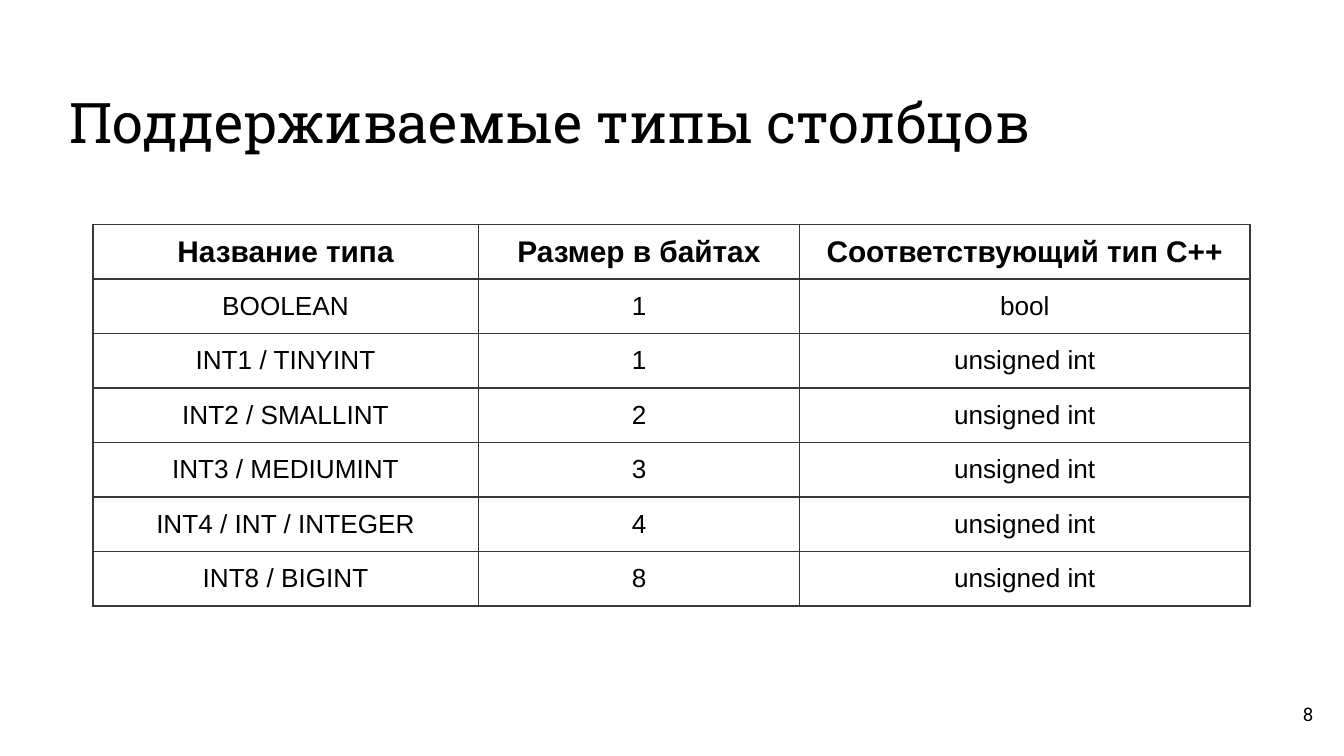
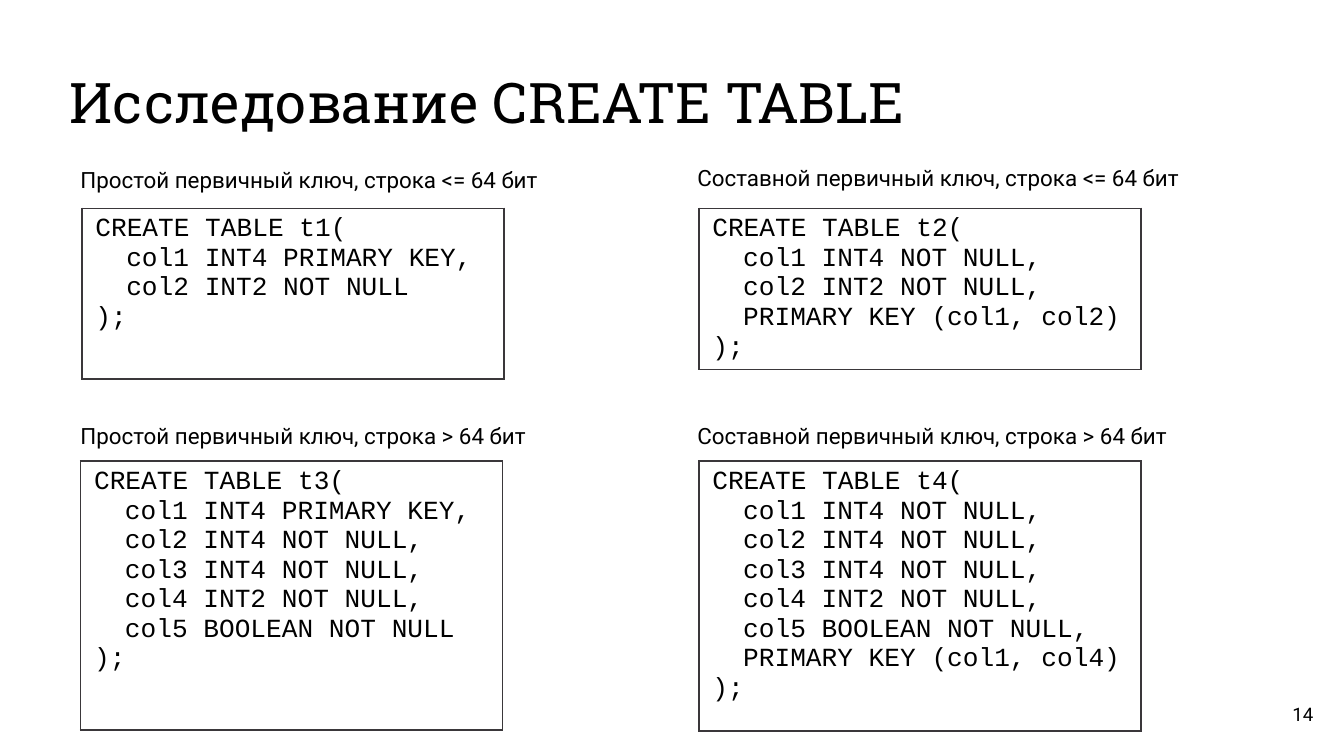
"""Build two slides on column types and CREATE TABLE tests."""
from lxml import etree
from pptx import Presentation
from pptx.dml.color import RGBColor
from pptx.enum import text as t
from pptx.oxml import ns
from pptx.util import Inches, Pt

HUES = {"ink": "000000", "rule": "3A373A", "page": "FFFFFF"}
LEFT, MID, RIGHT = t.PP_ALIGN.LEFT, t.PP_ALIGN.CENTER, t.PP_ALIGN.RIGHT


def put(frame, words, font="Arial", size=14, bold=False, align=LEFT, step=0):
    for i, line in enumerate(words.split("\n")):
        para = frame.paragraphs[0] if i == 0 else frame.add_paragraph()
        para.alignment = align
        if line.startswith("\t"):
            para._p.get_or_add_pPr().set("marL", str(Inches(step)))
        run = para.add_run()
        run.text = line.strip()
        run.font.name, run.font.size, run.font.bold = font, Pt(size), bold
        run.font.color.rgb = RGBColor.from_string(HUES["ink"])
        etree.SubElement(para._p, ns.qn("a:endParaRPr"), sz=str(size * 100))


def grid(slide, x, y, cols, count, high):
    shape = slide.shapes.add_table(count, len(cols), Inches(x), Inches(y),
                                   Inches(sum(cols)), Inches(high))
    table = shape.table
    table.first_row = table.horz_banding = False
    for col, wide in zip(table.columns, cols):
        col.width = Inches(wide)
    for cell in table.iter_cells():
        props = cell._tc.get_or_add_tcPr()
        for side in ("lnL", "lnR", "lnT", "lnB"):
            edge = etree.SubElement(props, ns.qn("a:" + side), w=str(Pt(1)))
            fill = etree.SubElement(edge, ns.qn("a:solidFill"))
            etree.SubElement(fill, ns.qn("a:srgbClr"), val=HUES["rule"])
        cell.fill.background()
    return table


deck = Presentation()
deck.slide_width = Inches(10)
deck.slide_height = deck.slide_width * 9 // 16

heads = [
    ("Поддерживаемые типы столбцов", 0.5, 9.3, "8"),
    ("Исследование CREATE TABLE", 0.35, 9.15, "14"),
]
pages = []
for words, top, wide, number in heads:
    slide = deck.slides.add_slide(deck.slide_layouts[5])
    slide.background.fill.solid()
    slide.background.fill.fore_color.rgb = RGBColor.from_string(HUES["page"])
    title = slide.shapes.title
    title.left, title.top = Inches(0.42), Inches(top)
    title.width, title.height = Inches(wide), Inches(0.75)
    foot = slide.shapes.add_textbox(Inches(9.27), Inches(5.1), Inches(0.6), Inches(0.43))
    for shape, anchor in ((title, t.MSO_ANCHOR.BOTTOM), (foot, t.MSO_ANCHOR.MIDDLE)):
        frame = shape.text_frame
        frame.word_wrap, frame.auto_size = True, t.MSO_AUTO_SIZE.NONE
        frame.vertical_anchor = anchor
        frame.margin_left = frame.margin_right = Inches(0.1)
        frame.margin_top = frame.margin_bottom = Inches(0.1)
    put(title.text_frame, words, font="Roboto Slab", size=30)
    put(foot.text_frame, number, font="Roboto", size=10, align=RIGHT)
    pages.append(slide)

types = [
    ("Название типа", "Размер в байтах", "Соответствующий тип C++"),
    ("BOOLEAN", "1", "bool"),
    ("INT1 / TINYINT", "1", "unsigned int"),
    ("INT2 / SMALLINT", "2", "unsigned int"),
    ("INT3 / MEDIUMINT", "3", "unsigned int"),
    ("INT4 / INT / INTEGER", "4", "unsigned int"),
    ("INT8 / BIGINT", "8", "unsigned int"),
]
table = grid(pages[0], 0.69, 1.67, [2.87, 2.39, 3.35], len(types), 2.84)
for r, row in enumerate(types):
    for c, words in enumerate(row):
        cell = table.cell(r, c)
        cell.vertical_anchor = t.MSO_ANCHOR.MIDDLE
        put(cell.text_frame, words, size=14 if r else 16, bold=r == 0, align=MID)

tests = [
    ("Простой первичный ключ, строка <= 64 бит", (0.5, 1.19, 3.64), (0.61, 1.55, 3.14, 1.27),
     ["col1 INT4 PRIMARY KEY", "col2 INT2 NOT NULL"]),
    ("Составной первичный ключ, строка <= 64 бит", (5.09, 1.17, 3.82), (5.2, 1.55, 3.29, 1.2),
     ["col1 INT4 NOT NULL", "col2 INT2 NOT NULL", "PRIMARY KEY (col1, col2)"]),
    ("Простой первичный ключ, строка > 64 бит", (0.5, 3.09, 3.55), (0.6, 3.43, 3.14, 2),
     ["col1 INT4 PRIMARY KEY", "col2 INT4 NOT NULL", "col3 INT4 NOT NULL",
      "col4 INT2 NOT NULL", "col5 BOOLEAN NOT NULL"]),
    ("Составной первичный ключ, строка > 64 бит", (5.09, 3.09, 3.73), (5.2, 3.43, 3.29, 2.01),
     ["col1 INT4 NOT NULL", "col2 INT4 NOT NULL", "col3 INT4 NOT NULL",
      "col4 INT2 NOT NULL", "col5 BOOLEAN NOT NULL", "PRIMARY KEY (col1, col4)"]),
]
for i, (_, _, (left, top, span, high), parts) in enumerate(tests, 1):
    code = f"CREATE TABLE t{i}(\n\t" + ",\n\t".join(parts) + "\n);"
    table = grid(pages[1], left, top, [span], 1, high)
    put(table.cell(0, 0).text_frame, code, font="Courier New", step=0.23)
for label, (x, y, wide), _, _ in tests:
    note = pages[1].shapes.add_textbox(Inches(x), Inches(y), Inches(wide), Inches(0.3))
    note.text_frame.word_wrap = False
    note.text_frame.auto_size = t.MSO_AUTO_SIZE.SHAPE_TO_FIT_TEXT
    put(note.text_frame, label, font="Roboto", size=12)

deck.save("out.pptx")
